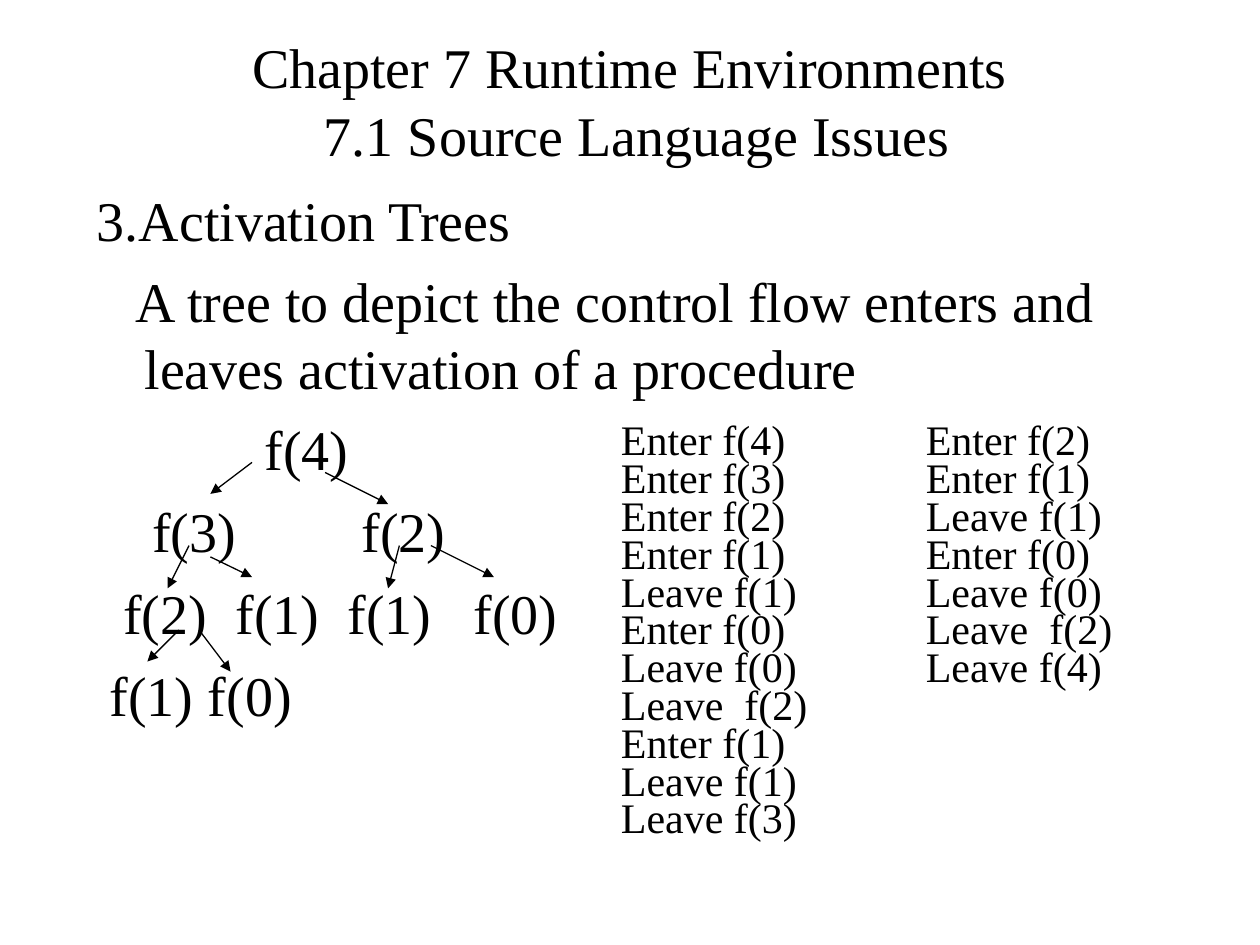
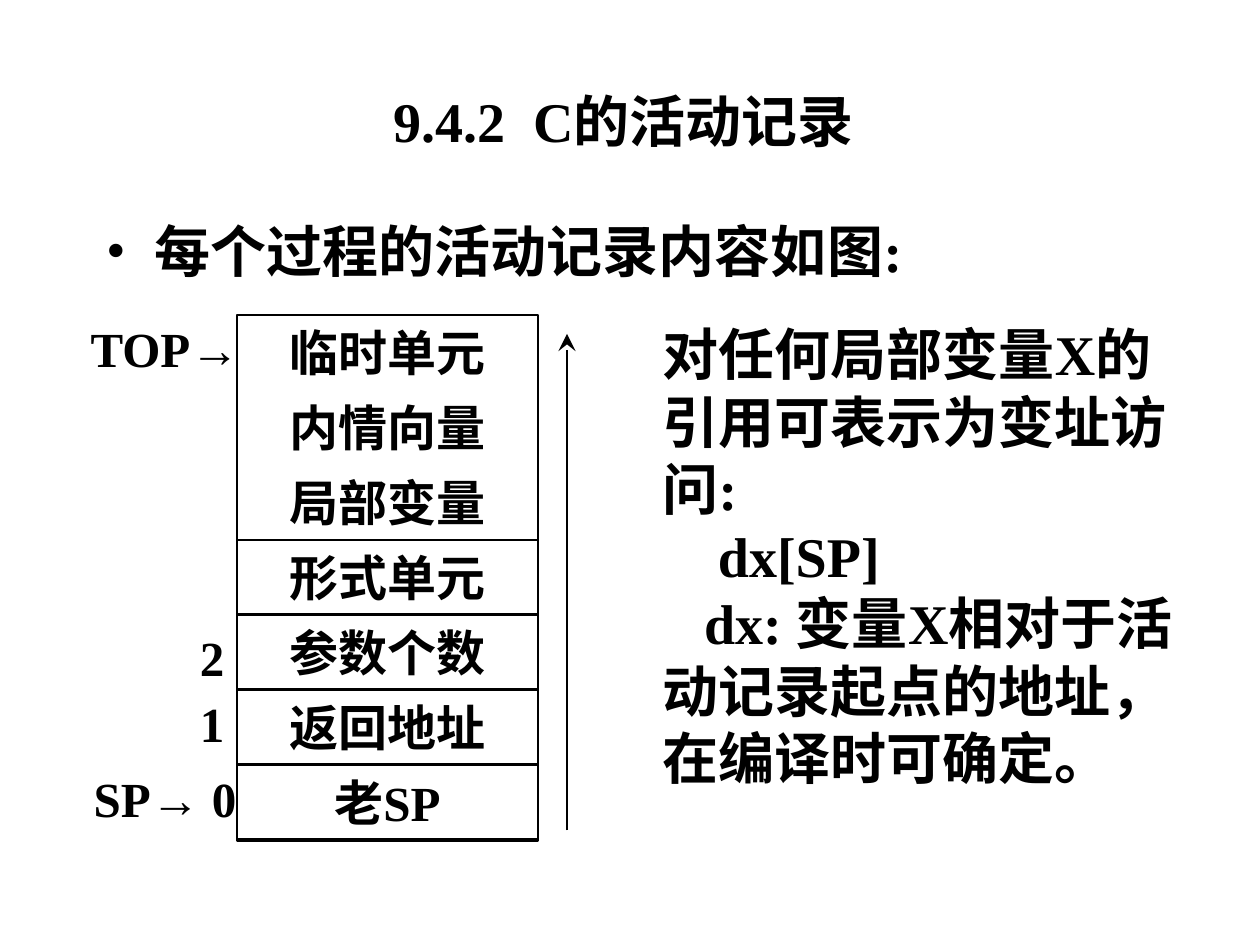
from lxml import etree
from pptx import Presentation
from pptx.dml.color import RGBColor
from pptx.enum import shapes, text
from pptx.oxml.ns import qn
from pptx.util import Inches, Pt

INK = {"text": "000000", "line": "000000"}
SERIF, SANS = "Times New Roman", "Arial"
LEFT, MID, RIGHT = text.PP_ALIGN.LEFT, text.PP_ALIGN.CENTER, text.PP_ALIGN.RIGHT


def write(slide, area, lines, size=32, bold=False, align=LEFT, middle=False,
          wrap=True, gap=0, pitch=None, hang=(), bullet=None, edge=False):
    """Put lines in a box; hang holds one (margin, indent) per line."""
    place = [Inches(v) for v in area]
    if edge:
        box = slide.shapes.add_shape(shapes.MSO_SHAPE.RECTANGLE, *place)
        box.shadow.inherit = False
        box.fill.background()
        box.line.color.rgb = RGBColor.from_string(INK["line"])
        box.line.width = Pt(1.5)
    else:
        box = slide.shapes.add_textbox(*place)
    frame = box.text_frame
    frame.word_wrap = wrap
    frame.vertical_anchor = text.MSO_ANCHOR.MIDDLE if middle else text.MSO_ANCHOR.TOP
    for i, line in enumerate(lines):
        para = frame.paragraphs[0] if i == 0 else frame.add_paragraph()
        props = para._p.get_or_add_pPr()
        props.set("hangingPunct", "0")
        if i < len(hang):
            props.set("marL", str(Inches(hang[i][0])))
            props.set("indent", str(Inches(hang[i][1])))
        if bullet:
            etree.SubElement(props, qn("a:buFont"), typeface=SERIF)
            etree.SubElement(props, qn("a:buChar"), char=bullet)
        para.alignment = align
        para.space_before = Pt(gap if i else 0)
        if pitch:
            para.line_spacing = pitch
        for bit in filter(None, line.partition("→")):
            run = para.add_run()
            run.text = bit
            run.font.name = SANS if bit == "→" else SERIF
            run.font.size = Pt(size)
            run.font.bold = bold
            run.font.color.rgb = RGBColor.from_string(INK["text"])


def arrow(slide, start, end, width=0.75, head="triangle", scale="med"):
    link = slide.shapes.add_connector(
        shapes.MSO_CONNECTOR.STRAIGHT, *[Inches(v) for v in start + end])
    link.line.color.rgb = RGBColor.from_string(INK["line"])
    link.line.width = Pt(width)
    etree.SubElement(link.line._get_or_add_ln(), qn("a:tailEnd"),
                     type=head, w=scale, len=scale)
    etree.SubElement(link._element.spPr, qn("a:effectLst"))


deck = Presentation()
deck.slide_width, deck.slide_height = Inches(10), Inches(7.5)
blank = deck.slide_layouts[6]

# Activation trees
tree = deck.slides.add_slide(blank)
write(tree, (0.75, 0.17, 8.5, 1.25),
      ["Chapter 7 Runtime Environments", " 7.1 Source Language Issues"],
      align=MID, middle=True)
write(tree, (0.67, 1.42, 9, 1.8),
      ["3.Activation Trees",
       "A tree to depict the control flow enters and leaves activation of a procedure"],
      gap=8, hang=[(0.38, -0.38), (0.38, -0.07)])

# Each tree level: node label and left edge of its box
levels = [
    [("f(4)", 2)],
    [("f(3)", 1.11), ("f(2)", 2.77)],
    [("f(2)", 0.88), ("f(1)", 1.77), ("f(1)", 2.66), ("f(0)", 3.66)],
    [("f(1)", 0.77), ("f(0)", 1.55)],
]
for depth, level in enumerate(levels):
    for name, left in level:
        write(tree, (left, 3.24 + depth * 0.65, 0.95, 0.63), [name])

for start, end in [
    ((2, 3.67), (1.67, 3.92)), ((2.58, 3.75), (3.08, 4)),
    ((1.5, 4.33), (1.33, 4.67)), ((1.67, 4.42), (2, 4.58)),
    ((3.17, 4.33), (3.08, 4.67)), ((3.42, 4.33), (3.92, 4.58)),
    ((1.42, 5), (1.17, 5.25)), ((1.58, 5), (1.83, 5.33)),
]:
    arrow(tree, start, end)

traces = [
    (4.83, 3.4, ["Enter f(4)", "Enter f(3)", "Enter f(2)", "Enter f(1)", "Leave f(1)",
                 "Enter f(0)", "Leave f(0)", "Leave  f(2)", "Enter f(1)", "Leave f(1)",
                 "Leave f(3)"]),
    (7.25, 2.2, ["Enter f(2)", "Enter f(1)", "Leave f(1)", "Enter f(0)", "Leave f(0)",
                 "Leave  f(2)", "Leave f(4)"]),
]
for left, high, steps in traces:
    write(tree, (left, 3.33, 1.83, high), steps, size=24, pitch=0.75)

# Activation record of C
record = deck.slides.add_slide(blank)
write(record, (0.75, 0.33, 8.5, 1.25), ["9.4.2  C的活动记录 "],
      bold=True, align=MID, middle=True)
write(record, (0.75, 1.67, 8.25, 0.83), ["每个过程的活动记录内容如图:"],
      bold=True, hang=[(0.38, -0.38)], bullet="•")
write(record, (5.16, 2.49, 4.5, 4.25),
      ["对任何局部变量X的引用可表示为变址访问:", "dx[SP]",
       "dx: 变量X相对于活动记录起点的地址，在编译时可确定。"],
      bold=True, hang=[(0, 0), (0, 0.44), (0, 0.33)])

left, top, wide, step = 1.88, 2.5, 2.39, 0.595
write(record, (left, top, wide, 4.17), [], edge=True)
cells = ["临时单元", "内情向量", "局部变量", "形式单元", "参数个数", "返回地址", "老SP"]
for i, cell in enumerate(cells):
    write(record, (left, top + i * step, wide, 0.59), [cell], size=28, bold=True,
          align=MID, middle=True, wrap=False, edge=i > 2)

for x, y, w, label, align in [
    (0.51, 2.5, 1.6, "TOP→", MID), (1.25, 4.95, 0.63, "2", RIGHT),
    (1.25, 5.48, 0.63, "1", RIGHT), (0.51, 6.07, 1.6, "SP→ 0", MID),
]:
    write(record, (x, y, w, 0.52), [label], size=28, bold=True,
          align=align, middle=True, wrap=False)
arrow(record, (4.5, 6.59), (4.5, 2.65), width=1.5, head="stealth", scale="lg")

deck.save("out.pptx")
